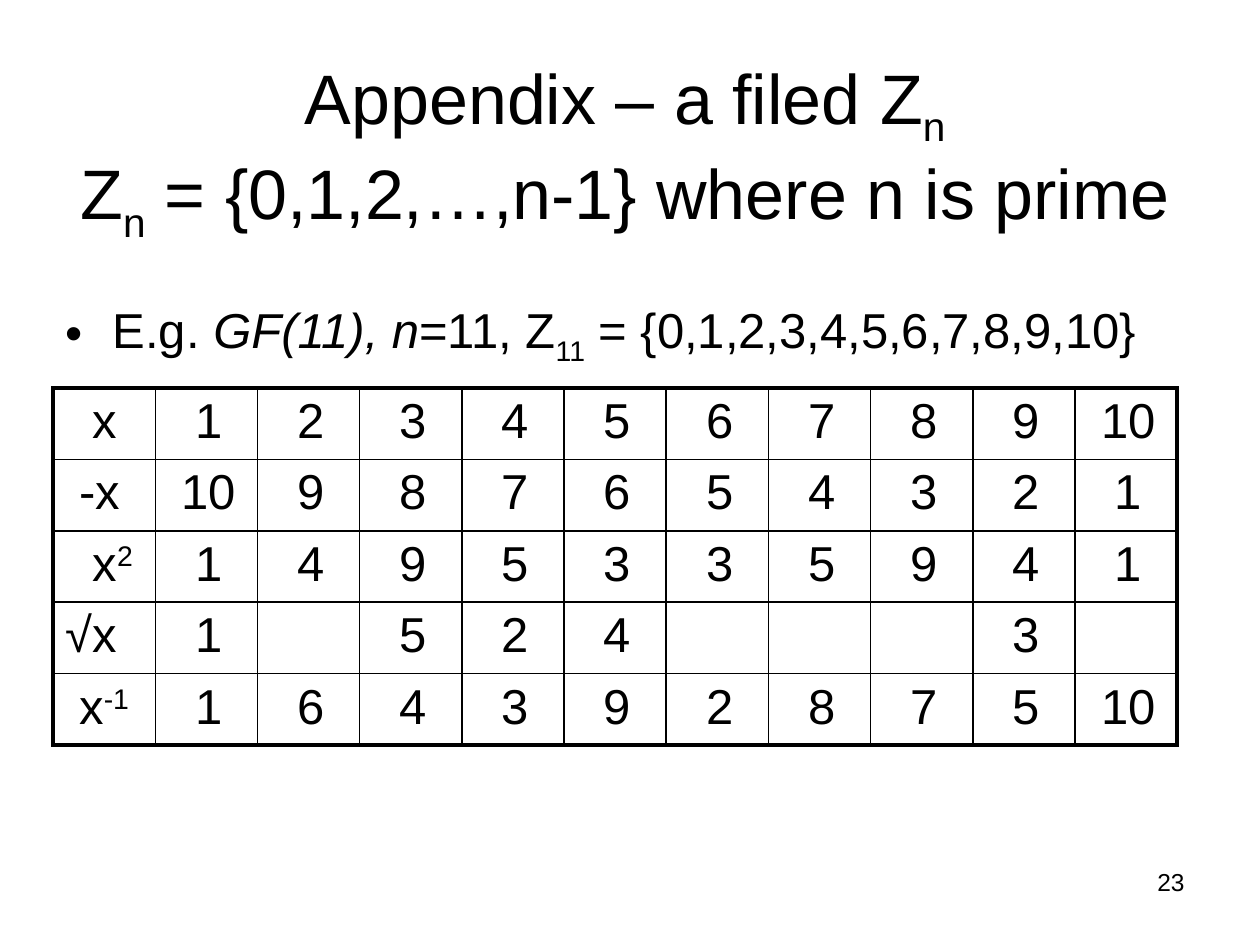
import pptx
import pptx.dml.color
import pptx.enum.text
import pptx.oxml
import pptx.oxml.ns
import pptx.util
from lxml import etree

Cm = pptx.util.Cm
Pt = pptx.util.Pt
ALIGN = pptx.enum.text.PP_ALIGN
ANCHOR = pptx.enum.text.MSO_ANCHOR
BLACK = pptx.dml.color.RGBColor(0, 0, 0)
THIN, THICK = Pt(1), Pt(2.25)
SUB, SUPER = -25000, 30000

FIELD_ROWS = [
    ("x", "", 0.8, [1, 2, 3, 4, 5, 6, 7, 8, 9, 10]),
    ("-x", "", 0.53, [10, 9, 8, 7, 6, 5, 4, 3, 2, 1]),
    ("x", "2", 0.8, [1, 4, 9, 5, 3, 3, 5, 9, 4, 1]),
    ("√x", "", 0.25, [1, "", 5, 2, 4, "", "", "", 3, ""]),
    ("x", "-1", 0.53, [1, 6, 4, 3, 9, 2, 8, 7, 5, 10]),
]


def style(paragraph, size, align=ALIGN.LEFT):
    """Give a paragraph its font, size, colour and alignment."""
    paragraph.alignment = align
    paragraph.font.name = "Arial"
    paragraph.font.size = Pt(size)
    paragraph.font.color.rgb = BLACK


def add_run(paragraph, text, baseline=0, italic=False):
    """Append a run, optionally raised, lowered or italic."""
    run = paragraph.add_run()
    run.text = text
    if italic:
        run.font.italic = True
    if baseline:
        run.font._element.set("baseline", str(baseline))


def place(shape, left, top, width, height):
    """Move and size a shape, in centimetres."""
    shape.left, shape.top = Cm(left), Cm(top)
    shape.width, shape.height = Cm(width), Cm(height)


def fill_title(title):
    """Write the two-line heading."""
    place(title, 1.27, 0.76, 22.66, 4.52)
    title.text_frame.vertical_anchor = ANCHOR.MIDDLE
    heading = title.text_frame.paragraphs[0]
    style(heading, 40, ALIGN.CENTER)
    add_run(heading, "Appendix – a filed Z")
    add_run(heading, "n", SUB)
    heading.add_line_break()
    add_run(heading, "Z")
    add_run(heading, "n", SUB)
    add_run(heading, " = {0,1,2,…,n-1} where n is prime")


def fill_example(body):
    """Write the bulleted example."""
    place(body, 1.07, 5.92, 22.86, 6.07)
    example = body.text_frame.paragraphs[0]
    style(example, 28)
    properties = example._p.get_or_add_pPr()
    properties.set("marL", str(Cm(0.95)))
    properties.set("indent", str(Cm(-0.95)))
    add_run(example, "E.g. ")
    add_run(example, "GF(11), n", italic=True)
    add_run(example, "=11, Z")
    add_run(example, "11", SUB)
    add_run(example, " = {0,1,2,3,4,5,6,7,8,9,10}")


def set_borders(cell, widths):
    """Draw the left, right, top and bottom borders of a cell."""
    qn = pptx.oxml.ns.qn
    properties = cell._tc.get_or_add_tcPr()
    for side, width in zip("LRTB", widths):
        border = etree.SubElement(properties, qn("a:ln" + side), w=str(width))
        solid = etree.SubElement(border, qn("a:solidFill"))
        etree.SubElement(solid, qn("a:srgbClr"), val=str(BLACK))


def add_field_table(slide):
    """Add the table of negatives, squares, roots and inverses."""
    row_count, column_count = len(FIELD_ROWS), len(FIELD_ROWS[0][3]) + 1
    table = slide.shapes.add_table(row_count, column_count, Cm(1.07), Cm(7.82),
                                   Cm(22.66), Cm(7.2)).table
    table.first_row = table.horz_banding = False
    for column in table.columns:
        column.width = Cm(2.06)
    for r, (label, power, indent, values) in enumerate(FIELD_ROWS):
        table.rows[r].height = Cm(1.44)
        for c, value in enumerate([label] + values):
            cell = table.cell(r, c)
            edges = (c == 0, c == column_count - 1, r == 0, r == row_count - 1)
            set_borders(cell, [THICK if edge else THIN for edge in edges])
            cell.fill.background()
            cell.margin_left = Cm(0.35 if c else indent)
            cell.margin_right = Cm(0.25)
            entry = cell.text_frame.paragraphs[0]
            style(entry, 28, ALIGN.CENTER if c else ALIGN.LEFT)
            if value != "":
                add_run(entry, str(value))
            if c == 0 and power:
                add_run(entry, power, SUPER)


def add_page_number(slide):
    """Add the slide number at the lower right."""
    box = slide.shapes.add_textbox(Cm(18.21), Cm(17.35), Cm(5.92), Cm(1.32))
    box.text_frame.word_wrap = True
    number = box.text_frame.paragraphs[0]
    style(number, 14, ALIGN.RIGHT)
    add_run(number, "23")


def main():
    """Build and save the slide."""
    deck = pptx.Presentation()
    deck.slide_width, deck.slide_height = Cm(25.4), Cm(19.05)
    slide = deck.slides.add_slide(deck.slide_layouts[1])
    fill_title(slide.shapes.title)
    fill_example(slide.placeholders[1])
    add_field_table(slide)
    add_page_number(slide)
    deck.save("out.pptx")


main()
